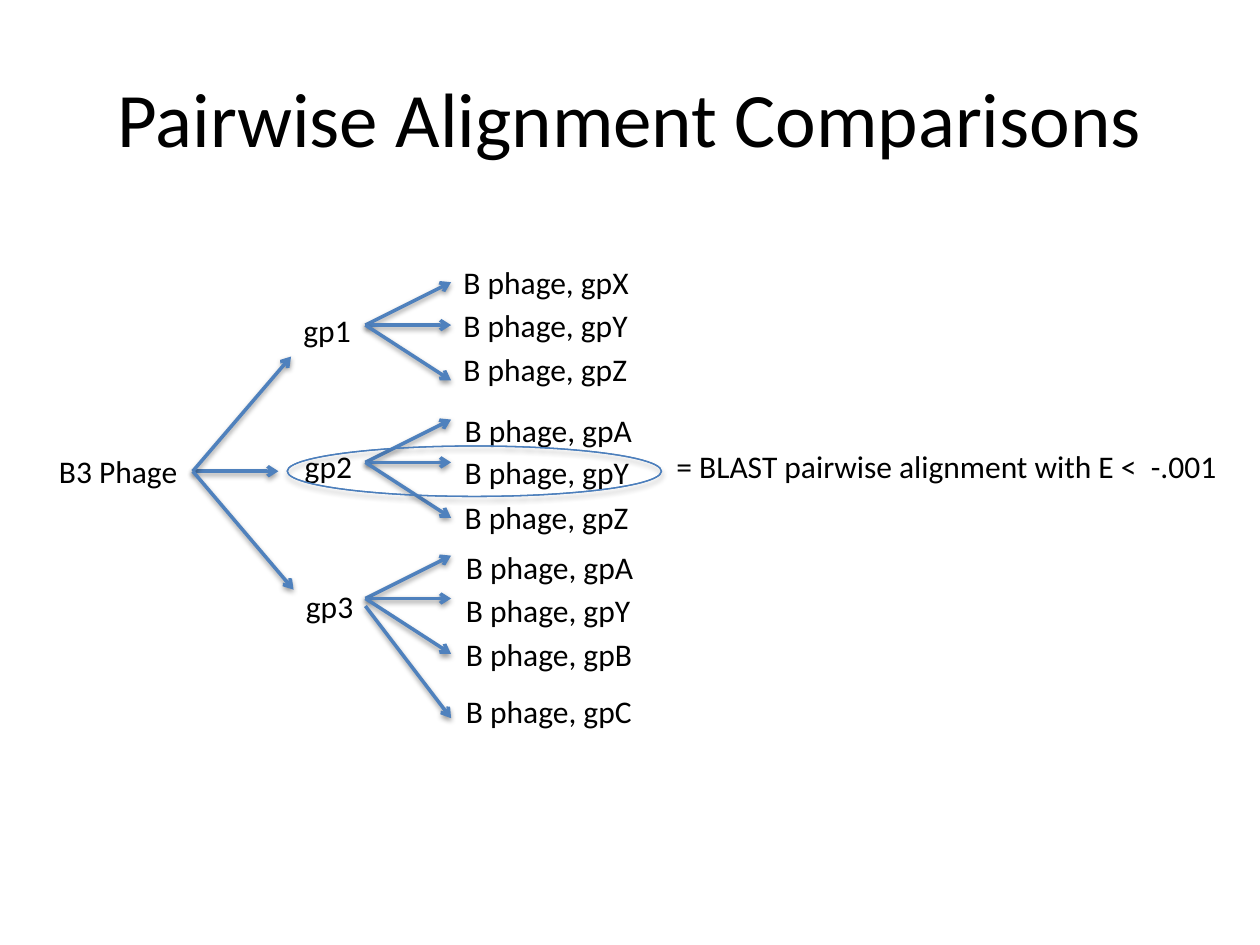
from dataclasses import dataclass
from typing import Optional

import lxml.etree
import pptx
import pptx.dml.color
import pptx.enum.shapes
import pptx.enum.text
import pptx.oxml.ns
import pptx.util

Inches = pptx.util.Inches
Pt = pptx.util.Pt
RGB = pptx.dml.color.RGBColor
qn = pptx.oxml.ns.qn
TextAnchor = pptx.enum.text.MSO_ANCHOR
AutoSize = pptx.enum.text.MSO_AUTO_SIZE
Align = pptx.enum.text.PP_ALIGN


@dataclass(frozen=True)
class Theme:
    font: str = "Calibri"
    ink: RGB = RGB(0x00, 0x00, 0x00)
    arrow: RGB = RGB(0x4F, 0x81, 0xBD)
    ring_line: RGB = RGB(0x4B, 0x7E, 0xBC)
    ring_fill: RGB = RGB(0xFF, 0xFF, 0x00)
    title_size: float = 44
    label_size: float = 18
    arrow_width: float = 2
    ring_width: float = 0.75


@dataclass(frozen=True)
class Point:
    x: float
    y: float


@dataclass(frozen=True)
class Gene:
    name: str
    label: Point
    fork: Point
    hits_at: Point
    hits: tuple[str, ...]
    joined: int = 0  # hits whose label is met by the arrow at mid-height


@dataclass(frozen=True)
class Branch:
    label_drop: float
    tip_drop: float
    start_drop: float = 0


THEME = Theme()
LABEL_HEIGHT = 0.4
HIT_WIDTH = 1.53
TIP_X = 3.58
PHAGE_FORK = Point(1.53, 3.74)
PHAGE_TIPS = (Point(2.21, 3.74), Point(2.31, 2.83), Point(2.33, 4.68))
BRANCHES = (Branch(0, -0.34), Branch(0.34, 0), Branch(0.69, 0.44),
            Branch(1.14, 0.95, 0.06))
GENES = (
    Gene("gp1", Point(2.31, 2.42), Point(2.9, 2.58), Point(3.58, 2.04),
         ("gpX", "gpY", "gpZ"), joined=2),
    Gene("gp2", Point(2.32, 3.5), Point(2.9, 3.67), Point(3.59, 3.21),
         ("gpA", "gpY", "gpZ")),
    Gene("gp3", Point(2.33, 4.61), Point(2.9, 4.75), Point(3.6, 4.3),
         ("gpA", "gpY", "gpB", "gpC")),
)

LABEL_FRAME = {"word_wrap": False, "auto_size": AutoSize.SHAPE_TO_FIT_TEXT}
NOTE_FRAME = {"word_wrap": True, "auto_size": AutoSize.SHAPE_TO_FIT_TEXT}
TITLE_FRAME = {"word_wrap": True, "vertical_anchor": TextAnchor.MIDDLE}


def add_text(slide, text: str, at: Point, width: float,
             height: float = LABEL_HEIGHT, size: float = THEME.label_size,
             frame_format: dict = LABEL_FRAME, align: Align = Align.LEFT):
    box = slide.shapes.add_textbox(
        Inches(at.x), Inches(at.y), Inches(width), Inches(height))
    for attribute, value in frame_format.items():
        setattr(box.text_frame, attribute, value)
    paragraph = box.text_frame.paragraphs[0]
    paragraph.alignment = align
    run = paragraph.add_run()
    run.text = text
    for attribute, value in {"name": THEME.font, "size": Pt(size)}.items():
        setattr(run.font, attribute, value)
    run.font.color.rgb = THEME.ink
    return box


def add_shadow(shape, distance: float, opacity: int) -> None:
    properties = shape._element.spPr
    effects = properties.find(qn("a:effectLst"))
    if effects is None:
        effects = lxml.etree.SubElement(properties, qn("a:effectLst"))
    shadow = lxml.etree.SubElement(
        effects, qn("a:outerShdw"), blurRad=str(Pt(3.1)),
        dist=str(Pt(distance)), dir="5400000", rotWithShape="0")
    color = lxml.etree.SubElement(shadow, qn("a:srgbClr"), val=str(THEME.ink))
    lxml.etree.SubElement(color, qn("a:alpha"), val=str(opacity * 1000))


def add_arrow(slide, start: Point, tip: Point, source: Optional[object] = None,
              target: Optional[object] = None) -> None:
    arrow = slide.shapes.add_connector(
        pptx.enum.shapes.MSO_CONNECTOR.STRAIGHT,
        Inches(start.x), Inches(start.y), Inches(tip.x), Inches(tip.y))
    if source is not None:
        arrow.begin_connect(source, 3)
    if target is not None:
        arrow.end_connect(target, 1)
    arrow.line.color.rgb = THEME.arrow
    arrow.line.width = Pt(THEME.arrow_width)
    outline = arrow._element.spPr.find(qn("a:ln"))
    lxml.etree.SubElement(outline, qn("a:tailEnd"), type="arrow")
    add_shadow(arrow, distance=1.6, opacity=38)


def add_gene(slide, gene: Gene) -> None:
    add_text(slide, gene.name, gene.label, 0.58)
    for index, (hit, branch) in enumerate(zip(gene.hits, BRANCHES)):
        label = add_text(
            slide, f"B phage, {hit}",
            Point(gene.hits_at.x, gene.hits_at.y + branch.label_drop), HIT_WIDTH)
        add_arrow(slide, Point(gene.fork.x, gene.fork.y + branch.start_drop),
                  Point(TIP_X, gene.fork.y + branch.tip_drop),
                  target=label if index < gene.joined else None)


def add_ring(slide) -> None:
    ring = slide.shapes.add_shape(
        pptx.enum.shapes.MSO_SHAPE.DONUT,
        Inches(2.28), Inches(3.54), Inches(2.97), Inches(0.4))
    ring.adjustments[0] = 0
    ring.fill.solid()
    ring.fill.fore_color.rgb = THEME.ring_fill
    ring.line.color.rgb = THEME.ring_line
    ring.line.width = Pt(THEME.ring_width)
    ring.shadow.inherit = False
    add_shadow(ring, distance=1.8, opacity=35)


def main() -> None:
    deck = pptx.Presentation()
    deck.slide_width, deck.slide_height = Inches(10), Inches(7.5)
    slide = deck.slides.add_slide(deck.slide_layouts[6])

    # Title
    add_text(slide, "Pairwise Alignment Comparisons", Point(0.5, 0.3), 9, 1.25,
             THEME.title_size, TITLE_FRAME, Align.CENTER)

    # Phage and its arrows to the genes
    phage = add_text(slide, "B3 Phage", Point(0.37, 3.54), 1.16)
    for tip in PHAGE_TIPS:
        add_arrow(slide, PHAGE_FORK, tip, source=phage)

    # Genes with their matching phage proteins
    for gene in GENES:
        add_gene(slide, gene)

    # Highlighted pair and its meaning
    add_text(slide, "= BLAST pairwise alignment with E <  -.001",
             Point(5.27, 3.5), 4.6, frame_format=NOTE_FRAME)
    add_ring(slide)

    deck.save("out.pptx")


if __name__ == "__main__":
    main()
